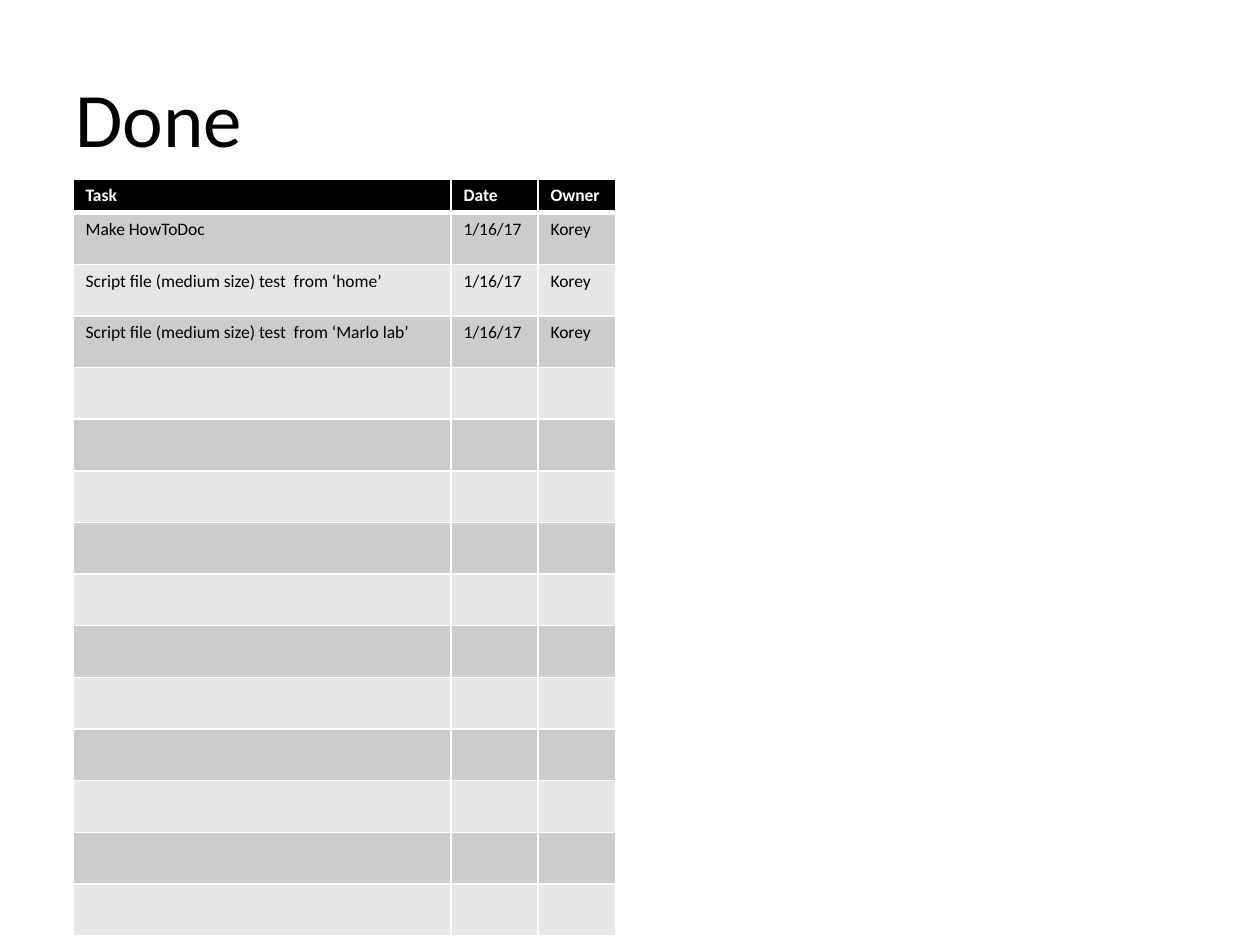
from typing import NamedTuple

from lxml import etree
from pptx import Presentation
from pptx import util as u
from pptx.dml import color
from pptx.enum import text
from pptx.oxml import ns


class Task(NamedTuple):
    name: str = ""
    date: str = ""
    owner: str = ""


class RowLook(NamedTuple):
    fill: str
    ink: str
    bold: bool
    top: int
    bottom: int


HEADINGS = Task("Task", "Date", "Owner")
DONE_TASKS = [
    Task("Make HowToDoc", "1/16/17", "Korey"),
    Task("Script file (medium size) test  from ‘home’", "1/16/17", "Korey"),
    Task("Script file (medium size) test  from ‘Marlo lab’", "1/16/17", "Korey"),
]
TASK_ROWS = 14
COLUMN_WIDTHS = [3, 0.69, 0.62]
HEADING_HEIGHT, TASK_HEIGHT = 0.25, 0.41
BANDS = ["CCCCCC", "E7E7E7"]
RULE, HEADING_RULE = 1, 3


def rgb(value: str) -> color.RGBColor:
    return color.RGBColor.from_string(value)


def write(paragraph, words: str, size: int, ink: str, bold: bool = False) -> None:
    run = paragraph.add_run()
    run.text = words
    run.font.name = "Calibri"
    run.font.size = u.Pt(size)
    run.font.bold = bold
    run.font.color.rgb = rgb(ink)


def rule_cell(cell, top: int, bottom: int) -> None:
    properties = cell._tc.get_or_add_tcPr()
    for side, width in {"L": RULE, "R": RULE, "T": top, "B": bottom}.items():
        line = etree.SubElement(properties, ns.qn(f"a:ln{side}"), w=str(u.Pt(width)))
        fill = etree.SubElement(line, ns.qn("a:solidFill"))
        etree.SubElement(fill, ns.qn("a:srgbClr"), val="FFFFFF")


def look_of(row: int) -> RowLook:
    if row == 0:
        return RowLook("000000", "FFFFFF", True, RULE, HEADING_RULE)
    top = HEADING_RULE if row == 1 else RULE
    return RowLook(BANDS[(row - 1) % 2], "000000", False, top, RULE)


def fill_row(row, task: Task, look: RowLook) -> None:
    for cell, words in zip(row.cells, task):
        rule_cell(cell, look.top, look.bottom)
        cell.fill.solid()
        cell.fill.fore_color.rgb = rgb(look.fill)
        if words:
            write(cell.text_frame.paragraphs[0], words, 10, look.ink, look.bold)


def add_title(slide, words: str) -> None:
    title = slide.shapes.add_textbox(
        u.Inches(0.5), u.Inches(0.3), u.Inches(9), u.Inches(1.25)
    ).text_frame
    title.word_wrap = True
    title.vertical_anchor = text.MSO_ANCHOR.MIDDLE
    write(title.paragraphs[0], words, 44, "000000")


def add_task_table(slide) -> None:
    tasks = [HEADINGS, *DONE_TASKS]
    tasks += [Task()] * (TASK_ROWS + 1 - len(tasks))
    height = HEADING_HEIGHT + TASK_ROWS * TASK_HEIGHT
    table = slide.shapes.add_table(
        len(tasks), len(COLUMN_WIDTHS), u.Inches(0.58), u.Inches(1.42),
        u.Inches(sum(COLUMN_WIDTHS)), u.Inches(height),
    ).table
    for column, width in zip(table.columns, COLUMN_WIDTHS):
        column.width = u.Inches(width)
    for index, (row, task) in enumerate(zip(table.rows, tasks)):
        row.height = u.Inches(TASK_HEIGHT if index else HEADING_HEIGHT)
        fill_row(row, task, look_of(index))


def main() -> None:
    deck = Presentation()
    deck.slide_width, deck.slide_height = u.Inches(10), u.Inches(7.5)
    slide = deck.slides.add_slide(deck.slide_layouts[6])
    add_title(slide, "Done")
    add_task_table(slide)
    deck.save("out.pptx")


if __name__ == "__main__":
    main()
